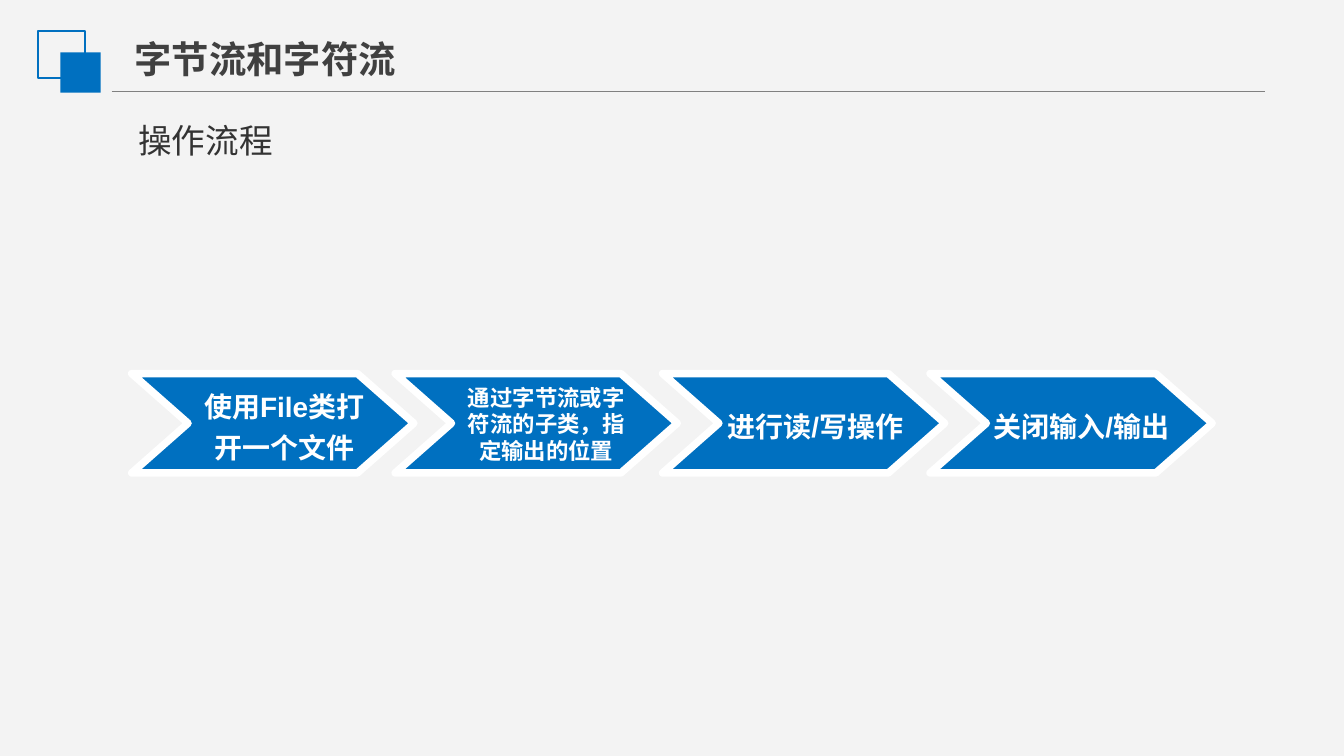
from dataclasses import dataclass
from typing import NamedTuple

from lxml import etree
from pptx import Presentation
from pptx.dml.color import RGBColor
from pptx.enum.shapes import MSO_CONNECTOR, MSO_SHAPE
from pptx.enum.text import MSO_ANCHOR, MSO_AUTO_SIZE, PP_ALIGN
from pptx.oxml.ns import qn
from pptx.slide import Slide
from pptx.util import Emu, Pt

EMU_PER_PX = 9144  # 100 px to the inch
TITLE_ONLY = 5
RECTANGLE = MSO_SHAPE.RECTANGLE
STRAIGHT = MSO_CONNECTOR.STRAIGHT
TOP, MIDDLE = MSO_ANCHOR.TOP, MSO_ANCHOR.MIDDLE
LEFT, CENTER = PP_ALIGN.LEFT, PP_ALIGN.CENTER
FIT_SHAPE = MSO_AUTO_SIZE.SHAPE_TO_FIT_TEXT


@dataclass(frozen=True)
class Theme:
    background: str = "F3F3F3"
    accent: str = "0070C0"
    white: str = "FFFFFF"
    rule: str = "808080"
    title: str = "404040"
    subtitle: str = "333333"
    latin_font: str = "Arial"
    chinese_font: str = "Noto Sans CJK SC"
    title_size: int = 20
    subtitle_size: int = 18
    step_size: int = 15
    small_step_size: int = 12


class Box(NamedTuple):
    left: int
    top: int
    width: int
    height: int


@dataclass(frozen=True)
class Step:
    left: int
    label: Box
    lines: tuple[str, ...]
    size: int
    spacing: float = 1.2


THEME = Theme()
PAGE_WIDTH = 1000
ARROW_TOP, ARROW_WIDTH, ARROW_HEIGHT, ARROW_POINT = 278, 210, 74, 42
STEPS = (
    Step(98, Box(120, 281, 183, 68), ("使用File类打", "开一个文件"), THEME.step_size),
    Step(294, Box(318, 280, 177, 71),
         ("通过字节流或字", "符流的子类，指", "定输出的位置"), THEME.small_step_size, 1.0),
    Step(493, Box(519, 296, 175, 38), ("进行读/写操作",), THEME.step_size),
    Step(692, Box(716, 296, 177, 38), ("关闭输入/输出",), THEME.step_size),
)


def px(length: int) -> Emu:
    return Emu(length * EMU_PER_PX)


def rgb(color: str) -> RGBColor:
    return RGBColor.from_string(color)


def write_text(shape, lines: tuple[str, ...], *, size: int, color: str,
               font: str = THEME.latin_font, bold: bool = False, align=LEFT,
               anchor=TOP, wrap: bool = True, spacing: float = 1.0) -> None:
    """Fill a shape with one paragraph per line, all in the same format."""
    frame = shape.text_frame
    frame.text = "\n".join(lines)
    frame.word_wrap = wrap
    frame.auto_size = FIT_SHAPE
    frame.vertical_anchor = anchor
    for para in frame.paragraphs:
        para.alignment = align
        para.line_spacing = spacing
        for span in para.runs:
            span.font.size = Pt(size)
            span.font.bold = bold
            span.font.color.rgb = rgb(color)
            span.font.name = font
            east_asian = etree.SubElement(span.font._element, qn("a:ea"))
            east_asian.set("typeface", THEME.chinese_font)


def place(shape, box: Box) -> None:
    shape.left, shape.top, shape.width, shape.height = map(px, box)


def add_label(page: Slide, box: Box, lines: tuple[str, ...], **text_format) -> None:
    label = page.shapes.add_textbox(*map(px, box))
    write_text(label, lines, **text_format)


def add_square(page: Slide, box: Box, *, filled: bool) -> None:
    square = page.shapes.add_shape(RECTANGLE, *map(px, box))
    square.shadow.inherit = False
    if filled:
        square.fill.solid()
        square.fill.fore_color.rgb = rgb(THEME.accent)
        square.line.fill.background()
    else:
        square.fill.background()
        square.line.color.rgb = rgb(THEME.accent)
        square.line.width = Pt(1)


def add_rule(page: Slide, left: int, right: int, top: int) -> None:
    rule = page.shapes.add_connector(STRAIGHT, px(left), px(top), px(right), px(top))
    rule.line.color.rgb = rgb(THEME.rule)
    rule.line.width = Pt(0.75)
    etree.SubElement(rule._element.spPr, qn("a:effectLst"))


def add_step(page: Slide, step: Step) -> None:
    left, right = step.left, step.left + ARROW_WIDTH
    middle, bottom = ARROW_TOP + ARROW_HEIGHT // 2, ARROW_TOP + ARROW_HEIGHT
    shoulder = right - ARROW_POINT
    corners = ((shoulder, ARROW_TOP), (right, middle), (shoulder, bottom),
               (left, bottom), (left + ARROW_POINT, middle))
    builder = page.shapes.build_freeform(px(left), px(ARROW_TOP))
    builder.add_line_segments([(px(x), px(y)) for x, y in corners], close=True)
    arrow = builder.convert_to_shape()
    arrow.shadow.inherit = False
    arrow.fill.solid()
    arrow.fill.fore_color.rgb = rgb(THEME.accent)
    arrow.line.color.rgb = rgb(THEME.white)
    arrow.line.width = Pt(4)
    etree.SubElement(arrow.line._get_or_add_ln(), qn("a:round"))
    add_label(page, step.label, step.lines, size=step.size, color=THEME.white,
              bold=True, align=CENTER, anchor=MIDDLE, spacing=step.spacing)


def main() -> None:
    deck = Presentation()
    deck.slide_width = px(PAGE_WIDTH)
    deck.slide_height = Emu(px(PAGE_WIDTH) * 9 // 16)
    page = deck.slides.add_slide(deck.slide_layouts[TITLE_ONLY])
    page.background.fill.solid()
    page.background.fill.fore_color.rgb = rgb(THEME.background)

    add_rule(page, 83, 941, 68)
    add_square(page, Box(28, 23, 35, 35), filled=False)
    add_square(page, Box(45, 39, 30, 30), filled=True)

    title = page.shapes.title
    write_text(title, ("字节流和字符流",), size=THEME.title_size, color=THEME.title,
               font=THEME.chinese_font, bold=True, wrap=False)
    place(title, Box(90, 22, 217, 44))
    add_label(page, Box(93, 84, 501, 40), ("操作流程",),
              size=THEME.subtitle_size, color=THEME.subtitle)

    for step in STEPS:
        add_step(page, step)
    deck.save("out.pptx")


if __name__ == "__main__":
    main()
